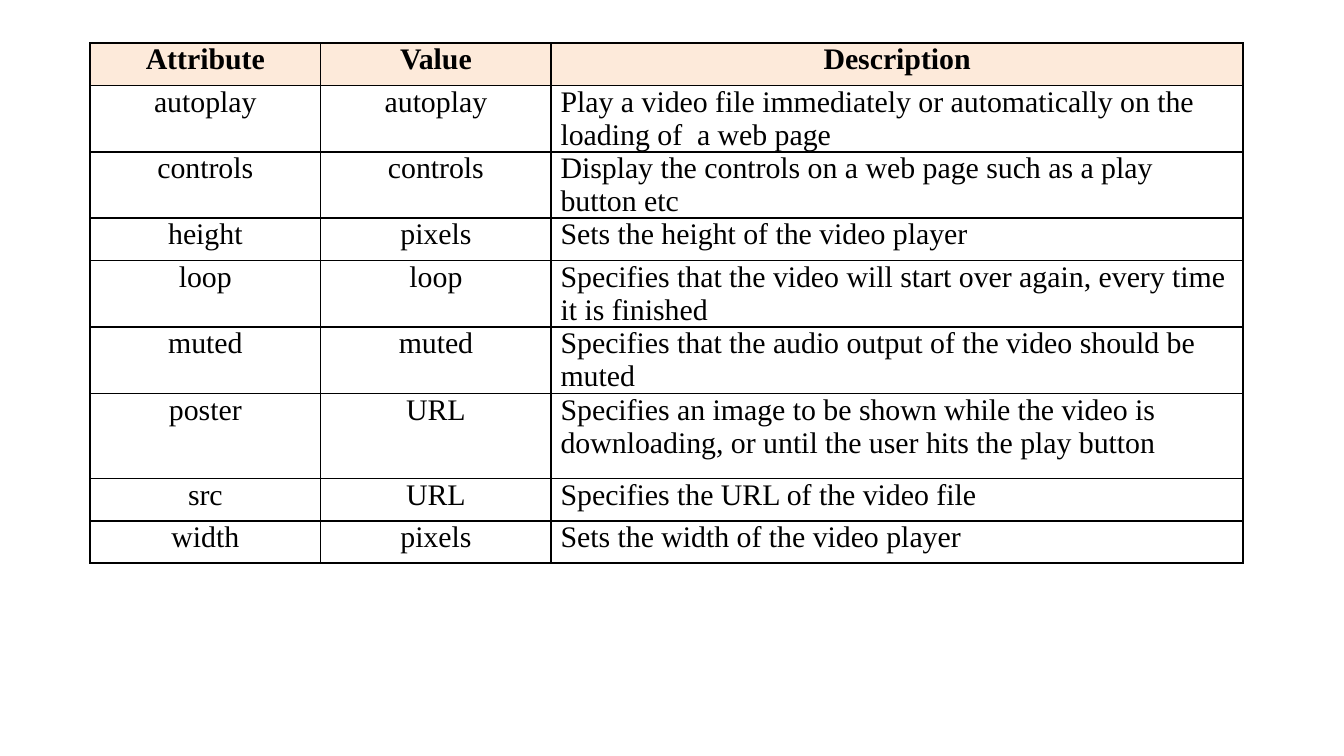
import dataclasses

import lxml.etree
import pptx
import pptx.dml.color
import pptx.enum.text
import pptx.oxml.ns
import pptx.slide
import pptx.table
import pptx.util

Inches = pptx.util.Inches
Align = pptx.enum.text.PP_ALIGN


@dataclasses.dataclass(frozen=True)
class Theme:
    font: str = "Times New Roman"
    text_size: int = 16
    text_color: str = "000000"
    border_color: str = "000000"
    border_points: float = 1
    header_fill: str = "FDEADA"
    side_margin: float = 0.07


@dataclasses.dataclass(frozen=True)
class AttributeRow:
    attribute: str
    value: str
    description: str
    units: int  # row height in grid units


THEME = Theme()
SLIDE_WIDTH = 10
SLIDE_HEIGHT = SLIDE_WIDTH * 9 / 16
TABLE_LEFT, TABLE_TOP, TABLE_WIDTH, TABLE_HEIGHT = 0.67, 0.32, 8.58, 3.79
COLUMN_SHARES = (1, 1, 3)

ROWS = (
    AttributeRow("Attribute", "Value", "Description", 2),
    AttributeRow("autoplay", "autoplay", "Play a video file immediately or "
                 "automatically on the loading of  a web page", 3),
    AttributeRow("controls", "controls", "Display the controls on a web page "
                 "such as a play button etc", 3),
    AttributeRow("height", "pixels", "Sets the height of the video player", 2),
    AttributeRow("loop", "loop", "Specifies that the video will start over "
                 "again, every time it is finished", 3),
    AttributeRow("muted", "muted", "Specifies that the audio output of the "
                 "video should be muted", 3),
    AttributeRow("poster", "URL", "Specifies an image to be shown while the video "
                 "is downloading, or until the user hits the play button", 4),
    AttributeRow("src", "URL", "Specifies the URL of the video file", 2),
    AttributeRow("width", "pixels", "Sets the width of the video player", 2),
)
ROW_UNIT = TABLE_HEIGHT / sum(row.units for row in ROWS)


def add_borders(cell: pptx.table._Cell) -> None:
    """Draw all four cell edges; they must come before the cell's fill."""
    qualified = pptx.oxml.ns.qn
    properties = cell._tc.get_or_add_tcPr()
    for position, edge in enumerate(("lnL", "lnR", "lnT", "lnB")):
        line = lxml.etree.Element(qualified(f"a:{edge}"))
        line.set("w", str(pptx.util.Pt(THEME.border_points)))
        fill = lxml.etree.SubElement(line, qualified("a:solidFill"))
        color = lxml.etree.SubElement(fill, qualified("a:srgbClr"))
        color.set("val", THEME.border_color)
        properties.insert(position, line)


def fill_cell(cell: pptx.table._Cell, text: str, header: bool, centered: bool) -> None:
    # Cell box
    cell.margin_left = cell.margin_right = Inches(THEME.side_margin)
    cell.margin_top = cell.margin_bottom = 0
    if header:
        cell.fill.solid()
        cell.fill.fore_color.rgb = pptx.dml.color.RGBColor.from_string(THEME.header_fill)
    else:
        cell.fill.background()
    add_borders(cell)

    # Cell text
    paragraph = cell.text_frame.paragraphs[0]
    paragraph.alignment = Align.CENTER if centered else Align.LEFT
    run = paragraph.add_run()
    run.text = text
    run.font.name = THEME.font
    run.font.size = pptx.util.Pt(THEME.text_size)
    run.font.bold = header
    run.font.color.rgb = pptx.dml.color.RGBColor.from_string(THEME.text_color)


def add_attribute_table(slide: pptx.slide.Slide) -> None:
    table = slide.shapes.add_table(
        len(ROWS), len(COLUMN_SHARES), Inches(TABLE_LEFT), Inches(TABLE_TOP),
        Inches(TABLE_WIDTH), Inches(TABLE_HEIGHT)).table
    table.horz_banding = False

    for column, share in zip(table.columns, COLUMN_SHARES):
        column.width = Inches(TABLE_WIDTH * share / sum(COLUMN_SHARES))

    for row_index, row in enumerate(ROWS):
        table.rows[row_index].height = Inches(ROW_UNIT * row.units)
        header = row_index == 0
        for column_index, text in enumerate((row.attribute, row.value, row.description)):
            fill_cell(table.cell(row_index, column_index), text, header,
                      centered=header or column_index < 2)


def main() -> None:
    presentation = pptx.Presentation()
    presentation.slide_width = Inches(SLIDE_WIDTH)
    presentation.slide_height = Inches(SLIDE_HEIGHT)
    # The slide has no title, so it uses the blank layout
    slide = presentation.slides.add_slide(presentation.slide_layouts[6])
    add_attribute_table(slide)
    presentation.save("out.pptx")


if __name__ == "__main__":
    main()
